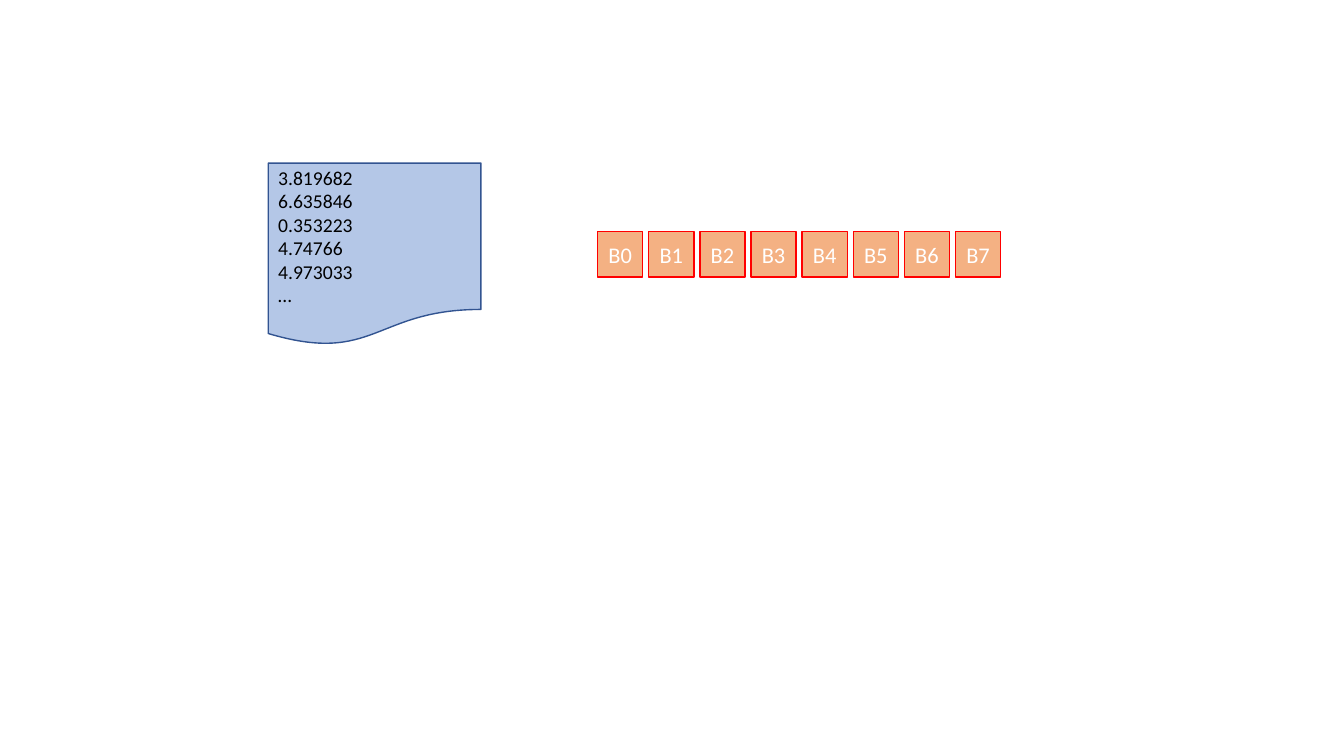
from dataclasses import dataclass

from pptx import Presentation
from pptx.dml.color import RGBColor as Rgb
from pptx.enum.shapes import MSO_SHAPE as Preset
from pptx.enum.text import MSO_ANCHOR as Anchor, PP_ALIGN as Align
from pptx.util import Cm, Pt


@dataclass(frozen=True)
class Theme:
    """Colours, font and sizes of the slide."""
    font: str = "Calibri"
    block_fill: Rgb = Rgb(0xF4, 0xB1, 0x83)
    block_line: Rgb = Rgb(0xFF, 0x00, 0x00)
    block_text: Rgb = Rgb(0xFF, 0xFF, 0xFF)
    file_fill: Rgb = Rgb(0xB4, 0xC7, 0xE7)
    file_line: Rgb = Rgb(0x32, 0x54, 0x91)
    file_text: Rgb = Rgb(0x00, 0x00, 0x00)
    block_size: Pt = Pt(16)
    file_size: Pt = Pt(14)
    line_width: Pt = Pt(1)


THEME = Theme()
BLOCK_COUNT = 8
VALUES = ["3.819682", "6.635846", "0.353223", "4.74766", "4.973033", "…"]


def add_panel(slide, preset, box, fill, line, lines, align, size, color):
    """Add a filled shape holding one paragraph per line and return it."""
    panel = slide.shapes.add_shape(preset, *map(Cm, box))
    panel.shadow.inherit = False
    panel.fill.solid()
    panel.fill.fore_color.rgb = fill
    panel.line.color.rgb = line
    panel.line.width = THEME.line_width
    frame = panel.text_frame
    frame.vertical_anchor = Anchor.MIDDLE
    frame.text = "\n".join(lines)
    for paragraph in frame.paragraphs:
        paragraph.alignment = align
        paragraph.font.color.rgb = color
        for name, value in {"name": THEME.font, "size": size}.items():
            setattr(paragraph.font, name, value)
    return panel


def add_blocks(slide, left, top, width, height):
    """Spread a row of square blocks evenly over the box."""
    pitch = (width - height) / (BLOCK_COUNT - 1)
    for index in range(BLOCK_COUNT):
        box = (left + index * pitch, top, height, height)
        add_panel(slide, Preset.RECTANGLE, box, THEME.block_fill, THEME.block_line,
                  [f"B{index}"], Align.CENTER, THEME.block_size, THEME.block_text)


def add_data_file(slide, left, top, width, height):
    """Draw the data file with its values in the box."""
    data_file = add_panel(slide, Preset.FLOWCHART_DOCUMENT, (left, top, width, height),
                          THEME.file_fill, THEME.file_line, VALUES, Align.LEFT,
                          THEME.file_size, THEME.file_text)
    margins = {"margin_left": Cm(0.25), "margin_top": 0, "margin_right": 0, "margin_bottom": 0}
    for name, value in margins.items():
        setattr(data_file.text_frame, name, value)


def main():
    """Build and save the slide."""
    deck = Presentation()
    deck.slide_width, deck.slide_height = Cm(33.87), Cm(19.05)
    slide = deck.slides.add_slide(deck.slide_layouts[6])
    add_blocks(slide, 15.06, 5.84, 10.16, 1.14)
    add_data_file(slide, 6.76, 4.11, 5.36, 4.6)
    deck.save("out.pptx")


if __name__ == "__main__":
    main()
